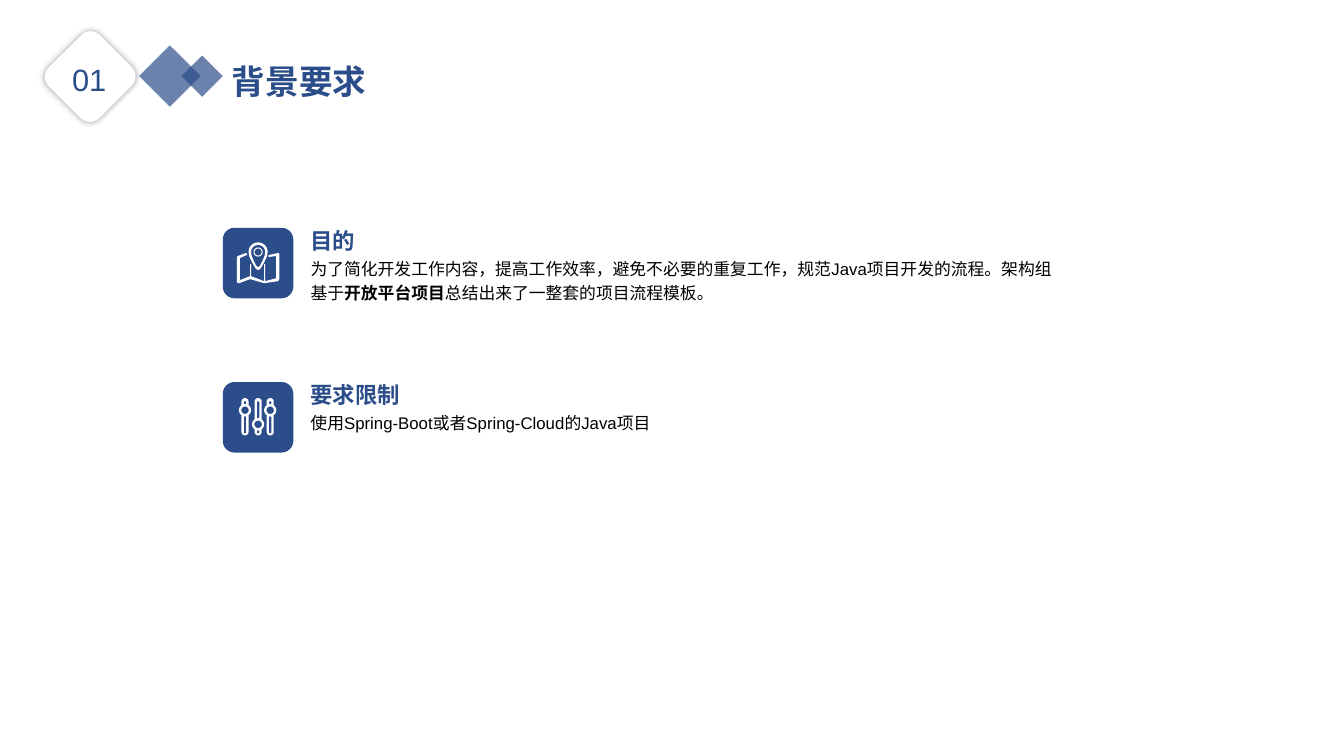
from dataclasses import dataclass
from math import acos, cos, degrees, radians, sin

from lxml import etree
from pptx import Presentation
from pptx.dml.color import RGBColor
from pptx.enum.lang import MSO_LANGUAGE_ID
from pptx.enum.shapes import MSO_SHAPE
from pptx.enum.text import MSO_ANCHOR, MSO_AUTO_SIZE, PP_ALIGN
from pptx.oxml import parse_xml
from pptx.oxml.ns import qn
from pptx.util import Inches, Pt

ROUND, DIAMOND = MSO_SHAPE.ROUNDED_RECTANGLE, MSO_SHAPE.DIAMOND
LEFT, CENTER = PP_ALIGN.LEFT, PP_ALIGN.CENTER
TOP, FIXED = MSO_ANCHOR.TOP, MSO_AUTO_SIZE.NONE
CHINESE = MSO_LANGUAGE_ID.SIMPLIFIED_CHINESE

FONT = "Arial"
COLORS = {"blue": "2B4D8A", "white": "FFFFFF", "black": "000000"}
NS = "http://schemas.openxmlformats.org/drawingml/2006/main"

Point = tuple[float, float]
Loop = list[Point]
Run = tuple[str, bool]


@dataclass
class Topic:
    top: float
    head: str
    runs: list[Run]
    width: float
    height: float
    icon: list[list[Loop]]


def color(name: str) -> RGBColor:
    return RGBColor.from_string(COLORS[name])


# Icon outlines
def arc(x: float, y: float, r: float, start: float, end: float) -> Loop:
    turns = [radians(start + (end - start) * i / 24) for i in range(25)]
    return [(x + r * cos(t), y + r * sin(t)) for t in turns]


def pill(x: float, top: float, end: float, r: float) -> Loop:
    return arc(x, top + r, r, 180, 360) + arc(x, end - r, r, 0, 180)


def drop(x: float, y: float, r: float, tail: float) -> Loop:
    side = [(0.92, 0.25), (0.6, 0.6), (0.25, 0.92)]
    right = [(x + r * a, y + tail * b) for a, b in side]
    left = [(x - r * a, y + tail * b) for a, b in reversed(side)]
    return arc(x, y, r, 180, 360) + right + [(x, y + tail)] + left


def slider(x: float, knob: float) -> list[Loop]:
    top, end, bar, ring, slot = 3.95, 4.32, 0.035, 0.06, 0.012
    cut = degrees(acos(bar / ring))
    outer = (arc(x, top + bar, bar, 180, 360)
             + arc(x, knob, ring, -cut, cut)
             + arc(x, end - bar, bar, 0, 180)
             + arc(x, knob, ring, 180 - cut, 180 + cut))
    return [outer, pill(x, top + 0.03, knob - ring, slot),
            pill(x, knob + ring, end - 0.02, slot),
            arc(x, knob, 0.037, 0, 360)]


SHEET = [(2.76, 2.51), (2.67, 2.53), (2.66, 2.54), (2.67, 2.55), (2.74, 2.54),
         (2.74, 2.76), (2.63, 2.79), (2.63, 2.62), (2.62, 2.62), (2.62, 2.79),
         (2.49, 2.74), (2.49, 2.62), (2.48, 2.62), (2.48, 2.74), (2.38, 2.78),
         (2.38, 2.56), (2.45, 2.53), (2.45, 2.52), (2.44, 2.51), (2.36, 2.54),
         (2.35, 2.55), (2.35, 2.8), (2.36, 2.81), (2.37, 2.81), (2.48, 2.77),
         (2.62, 2.81), (2.76, 2.79), (2.77, 2.77), (2.77, 2.52)]
MAP = [[drop(2.56, 2.5, 0.095, 0.18), drop(2.56, 2.5, 0.07, 0.15)],
       [arc(2.56, 2.5, r, 0, 360) for r in (0.045, 0.035)],
       [SHEET]]
MIXER = [slider(2.43, 4.07), slider(2.68, 4.07), slider(2.56, 4.21)]

TOPICS = [
    Topic(2.26, "目的",
          [("为了简化开发工作内容，提高工作效率，避免不必要的重复工作，"
            "规范Java项目开发的流程。架构组基于", False),
           ("开放平台项目", True),
           ("总结出来了一整套的项目流程模板。", False)], 7.38, 0.48, MAP),
    Topic(3.79, "要求限制",
          [("使用Spring-Boot或者Spring-Cloud的Java项目", False)],
          4.64, 0.24, MIXER),
]


# Drawing
def write(shape, runs: list[Run], *, size: float, ink: str = "blue",
          align=LEFT, inset: Point = (0, 0)) -> None:
    frame = shape.text_frame
    frame.word_wrap, frame.auto_size = True, FIXED
    frame.vertical_anchor = TOP
    frame.margin_left = frame.margin_right = Inches(inset[0])
    frame.margin_top = frame.margin_bottom = Inches(inset[1])
    para = frame.paragraphs[0]
    para.alignment, para.line_spacing = align, 1.2
    para.space_before = Pt(size * 0.2)
    for text, bold in runs:
        run = para.add_run()
        run.text = text
        font = run.font
        font.name, font.size, font.bold = FONT, Pt(size), bold
        font.color.rgb = color(ink)
        font.language_id = CHINESE


def box(slide, x: float, y: float, w: float, h: float):
    return slide.shapes.add_textbox(Inches(x), Inches(y), Inches(w), Inches(h))


def paint(shape, fill: str, alpha: int = 100) -> None:
    shape.shadow.inherit = False
    shape.fill.solid()
    shape.fill.fore_color.rgb = color(fill)
    shape.line.fill.background()
    if alpha < 100:
        tint = shape.fill._xPr.find(".//" + qn("a:srgbClr"))
        etree.SubElement(tint, qn("a:alpha")).set("val", str(alpha * 1000))


def block(slide, kind, x: float, y: float, w: float, h: float,
          fill: str, alpha: int = 100):
    shape = slide.shapes.add_shape(kind, Inches(x), Inches(y),
                                   Inches(w), Inches(h))
    paint(shape, fill, alpha)
    return shape


def trace(slide, loops: list[Loop]) -> None:
    paths = [[(Inches(x), Inches(y)) for x, y in loop] for loop in loops]
    pen = slide.shapes.build_freeform(*paths[0][0])
    for path in paths:
        pen.move_to(*path[0])
        pen.add_line_segments(path[1:], close=True)
    paint(pen.convert_to_shape(), "white")


def glow(shape) -> None:
    effects = shape._element.spPr.find(qn("a:effectLst"))
    effects.append(parse_xml(
        f'<a:outerShdw xmlns:a="{NS}" blurRad="{Pt(5)}" dist="0" algn="ctr" '
        f'rotWithShape="0"><a:srgbClr val="{COLORS["black"]}">'
        '<a:alpha val="40000"/></a:srgbClr></a:outerShdw>'))


def header(slide) -> None:
    badge = block(slide, ROUND, 0.56, 0.42, 0.67, 0.68, "white")
    badge.rotation = 45
    badge.line.color.rgb = color("white")
    badge.line.width = Pt(2.75)
    glow(badge)
    write(box(slide, 0.56, 0.53, 0.65, 0.4), [("01", False)],
          size=22, align=CENTER)
    for x, y, side in ((1.38, 0.45, 0.61), (1.8, 0.55, 0.41)):
        block(slide, DIAMOND, x, y, side, side, "blue", 70)
    title = slide.shapes.title
    title.left, title.top = Inches(2.2), Inches(0.47)
    title.width, title.height = Inches(2.91), Inches(0.57)
    write(title, [("背景要求", True)], size=24, inset=(0.1, 0.05))


def entry(slide, topic: Topic) -> None:
    block(slide, ROUND, 2.21, topic.top, 0.7, 0.7, "blue")
    for loops in topic.icon:
        trace(slide, loops)
    write(box(slide, 3.08, topic.top - 0.06, 1.42, 0.32),
          [(topic.head, True)], size=16)
    write(box(slide, 3.08, topic.top + 0.27, topic.width, topic.height),
          topic.runs, size=12, ink="black")


def main() -> None:
    deck = Presentation()
    deck.slide_width, deck.slide_height = Inches(13.33), Inches(7.5)
    slide = deck.slides.add_slide(deck.slide_layouts[5])
    for topic in TOPICS:
        entry(slide, topic)
    header(slide)
    deck.save("out.pptx")


if __name__ == "__main__":
    main()
